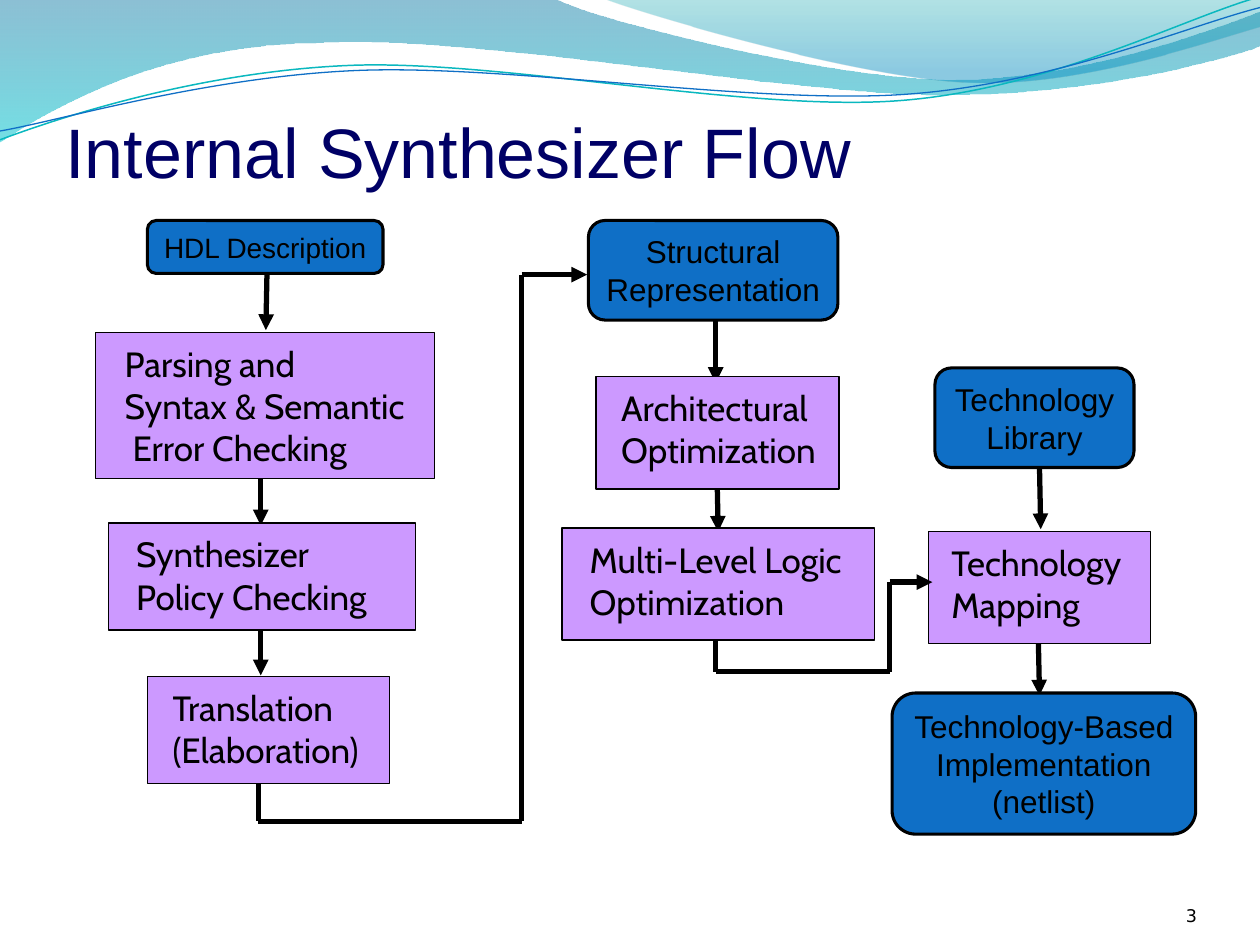
from lxml.etree import SubElement as Sub
from pptx import Presentation
from pptx.dml.color import RGBColor as Rgb
from pptx.enum.shapes import MSO_CONNECTOR as Conn, MSO_SHAPE as Kind
from pptx.enum.text import MSO_ANCHOR as Anchor, MSO_AUTO_SIZE as Auto, PP_ALIGN as Align
from pptx.oxml.ns import qn
from pptx.util import Inches, Pt

BLACK = Rgb(0, 0, 0)
NAVY = Rgb(0, 0, 0x66)
BLUE = Rgb(0x0F, 0x6F, 0xC6)
LILAC = Rgb(0xCC, 0x99, 0xFF)
TEAL = Rgb(0x0A, 0xB8, 0xBF)
DEEP = Rgb(0, 0x74, 0xA1)
CYAN = Rgb(0, 0xC6, 0xCF)
SEA = Rgb(0, 0xA1, 0xA9)
SKY = Rgb(0, 0x8B, 0xBF)

COLS, ROWS = 100, 75
CELL = Inches(10) // COLS


def grid(*cells):
    return [round(c * CELL) for c in cells]


def shift(box, area):
    return grid(area[0] + box[0], area[1] + box[1], *box[2:])


def write(shape, text, font, size, color=BLACK, align=Align.LEFT,
          anchor=Anchor.TOP, wrap=True, pads=None):
    frame = shape.text_frame
    frame.text = text
    frame.word_wrap = wrap
    frame.auto_size = Auto.NONE
    frame.vertical_anchor = anchor
    if pads:
        (frame.margin_left, frame.margin_top,
         frame.margin_right, frame.margin_bottom) = grid(*pads)
    for para in frame.paragraphs:
        para.alignment = align
        para.font.name = font
        para.font.size = Pt(size)
        para.font.color.rgb = color


def block(slide, area, box, kind, fill, width):
    shape = slide.shapes.add_shape(kind, *shift(box, area))
    shape.shadow.inherit = False
    shape.fill.solid()
    shape.fill.fore_color.rgb = fill
    shape.line.color.rgb = BLACK
    shape.line.width = Pt(width)
    return shape


def card(slide, area, box, pad, text):
    shape = block(slide, area, box, Kind.RECTANGLE, LILAC, 0.75)
    write(shape, text, "Cabin", 20, pads=(pad, 0.8, 0, 0))


def pill(slide, area, box, text, size=18):
    shape = block(slide, area, box, Kind.ROUNDED_RECTANGLE, BLUE, 1.75)
    write(shape, text, "Arial", size, align=Align.CENTER,
          anchor=Anchor.MIDDLE, wrap=False)


def route(slide, area, points, arrow=True):
    for start, end in zip(points, points[1:]):
        line = slide.shapes.add_connector(
            Conn.STRAIGHT, *shift(start, area), *shift(end, area))
        line.line.color.rgb = BLACK
        line.line.width = Pt(3)
        if arrow and end == points[-1]:
            Sub(line.line._get_or_add_ln(), qn("a:tailEnd"), type="triangle")
        Sub(line._element.spPr, qn("a:effectLst"))


def column(slide, area, arrows, cards, pills):
    for points in arrows:
        route(slide, area, points)
    for item in cards:
        card(slide, area, *item)
    for item in pills:
        pill(slide, area, *item)


def outline(slide, area, steps, points, close):
    first, *rest = [shift(p, area) for p in points]
    pen = slide.shapes.build_freeform(*first, scale=1.0)
    pen.add_line_segments(rest, close=close)
    shape = pen.convert_to_shape()
    shape.shadow.inherit = False
    trace = next(shape._element.iter(qn("a:path")))
    nodes = iter(trace.findall(qn("a:lnTo")))
    for step in steps:
        node = next(nodes)
        if step == "C":
            bend = Sub(trace, qn("a:cubicBezTo"))
            node.addprevious(bend)
            for knot in (node, next(nodes), next(nodes)):
                bend.append(knot[0])
                trace.remove(knot)
    return shape


def band(slide, area, steps, points, stops):
    shape = outline(slide, area, steps, points, True)
    shape.line.fill.background()
    shape.fill.gradient()
    grad = shape._element.spPr.find(qn("a:gradFill"))
    for child in list(grad):
        grad.remove(child)
    tones = Sub(grad, qn("a:gsLst"))
    for spot, color, alpha in stops:
        stop = Sub(tones, qn("a:gs"), pos=str(spot * 1000))
        tone = Sub(stop, qn("a:srgbClr"), val=str(color))
        Sub(tone, qn("a:alpha"), val=str(alpha * 1000))
    Sub(grad, qn("a:lin"), ang="5400000", scaled="0")


def thread(slide, area, points, color, width):
    shape = outline(slide, area, "CCC", points, False)
    shape.fill.background()
    shape.line.color.rgb = color
    shape.line.width = Pt(width)


def waves(slide, area):
    band(slide, area, "LCCLCCC", [
        (0, -0.1), (44, -0.1), (47.6, 1.7), (66.4, 6.3), (75.8, 6.3),
        (85.3, 6.3), (95.8, 2.6), (100, 0.9), (100.1, 3.6),
        (98.3, 4.4), (87, 7.6), (74.6, 7.5),
        (62.2, 7.5), (38.2, 2.8), (25.7, 3.4),
        (12.9, 3.5), (4.6, 8.3), (-0.1, 11.3)],
        [(0, DEEP, 45), (100, CYAN, 55)])
    band(slide, area, "CCL", [
        (47.9, -0.1), (50.9, 1.1), (68.2, 6.2), (76.9, 6.5),
        (85.6, 6.9), (96.1, 3.2), (100, 2.1), (100, 0)],
        [(0, SEA, 30), (80, SKY, 45)])
    thread(slide, area, [
        (0, 11.1), (4.8, 9.3), (15.8, 5.7), (27.7, 5.2), (39.5, 4.7),
        (59.3, 8.9), (71.3, 8), (83.3, 7.1), (93.8, 1.5), (99.8, -0.2)],
        TEAL, 0.85)
    thread(slide, area, [
        (0, 10.4), (4.7, 9.6), (16.4, 6.1), (28.3, 5.6), (40.3, 5.1),
        (59.7, 8.3), (71.7, 7.5), (83.6, 6.7), (94.1, 2.1), (100, 0.6)],
        BLUE, 0.75)


def head(slide, box):
    title = slide.shapes.title
    title.left, title.top, title.width, title.height = grid(*box)
    write(title, "Internal Synthesizer Flow", "Arial", 40, NAVY,
          anchor=Anchor.BOTTOM)


def page(slide, box):
    label = slide.shapes.add_textbox(*grid(*box))
    write(label, "3", "DejaVu Sans", 10, align=Align.RIGHT,
          anchor=Anchor.BOTTOM, pads=(0, 0, 0, 0))


def scan(slide, area):
    column(slide, area,
           [[(14.2, 4.3), (14.1, 9.2)],
            [(13.7, 19.8), (13.7, 24.7)],
            [(13.7, 31.8), (13.7, 36.6)]],
           [((0.6, 9.4, 26.9, 11.6), 2.3,
             "Parsing and\nSyntax & Semantic\n Error Checking"),
            ((1.6, 24.5, 24.4, 8.5), 2.2, "Synthesizer\nPolicy Checking"),
            ((4.7, 36.7, 19.2, 8.5), 2, "Translation\n(Elaboration)")],
           [((4.7, 0.5, 18.7, 4.2), "HDL Description", 16)])


def tune(slide, area):
    column(slide, area,
           [[(12.8, 8.5), (12.8, 13.4)], [(12.9, 20.3), (13, 25.2)]],
           [((3.3, 12.9, 19.3, 8.9), 2, "Architectural\nOptimization"),
            ((0.6, 24.9, 24.8, 8.9), 2.2,
             "Multi-Level Logic\nOptimization")],
           [((2.7, 0.5, 19.8, 7.9), "Structural\nRepresentation")])


def fit(slide, area):
    column(slide, area,
           [[(12.5, 20.1), (12.6, 25)], [(12.4, 33.3), (12.5, 38.2)]],
           [((3.7, 25.2, 17.6, 8.9), 1.8, "Technology\nMapping")],
           [((4.2, 12.2, 15.8, 7.9), "Technology\nLibrary"),
            ((0.8, 38, 24.1, 11.2),
             "Technology-Based\nImplementation\n(netlist)")])


def links(slide, area):
    route(slide, area, [(20.5, 62.2), (20.5, 65.2), (41.4, 65.2),
                        (41.4, 21.8), (46.6, 21.8)])
    route(slide, area, [(56.8, 52.8), (56.8, 53.3), (70.6, 53.3),
                        (70.6, 46.2), (74, 46.2)])
    route(slide, area, [(56.8, 50.8), (56.8, 53.3)], arrow=False)


deck = Presentation()
deck.slide_width, deck.slide_height = grid(COLS, ROWS)
slide = deck.slides.add_slide(deck.slide_layouts[5])
waves(slide, (0, 0))
head(slide, (4.2, 3.3, 90, 12.5))
scan(slide, (7, 17))
tune(slide, (44, 17))
fit(slide, (70, 17))
links(slide, (0, 0))
page(slide, (86.7, 69.5, 8.3, 4))
deck.save("out.pptx")
